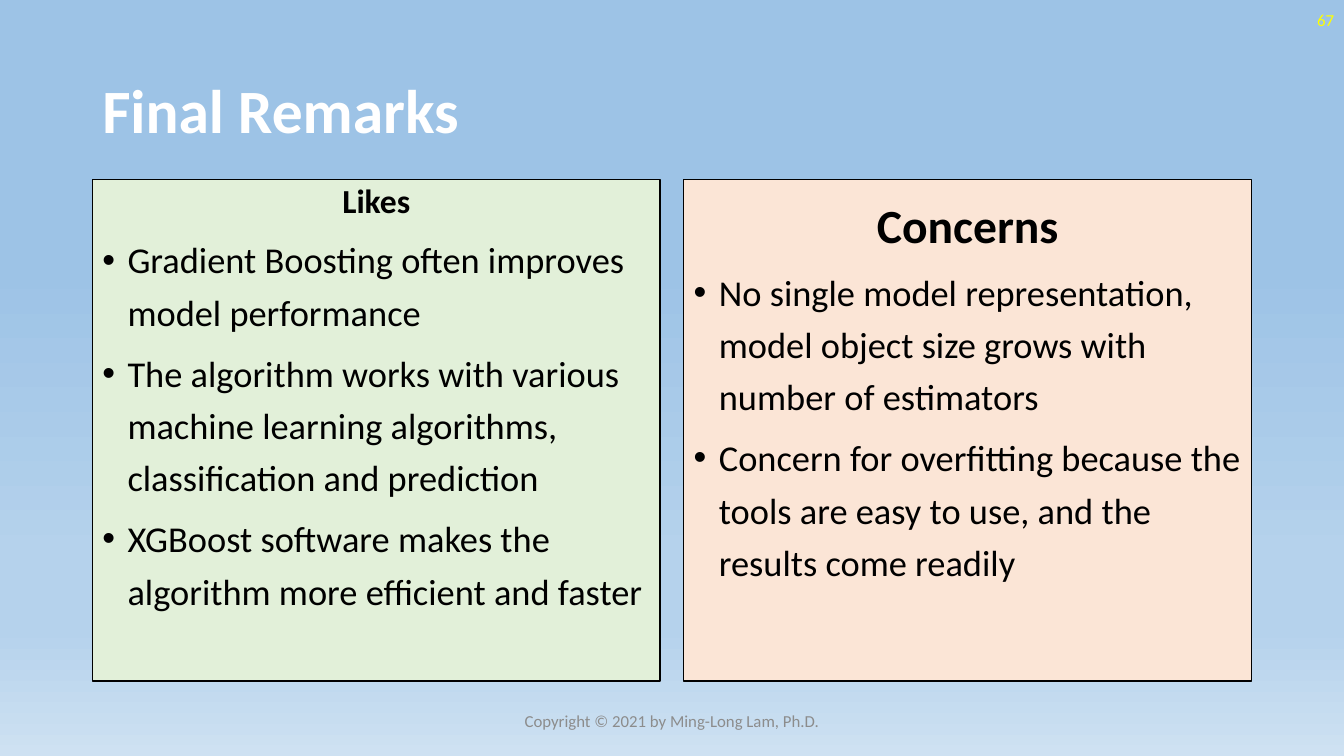
from lxml import etree
from pptx import Presentation
from pptx import util as u
from pptx.dml.color import RGBColor
from pptx.enum import shapes, text
from pptx.oxml.ns import qn

LEFT, MID, RIGHT = text.PP_ALIGN.LEFT, text.PP_ALIGN.CENTER, text.PP_ALIGN.RIGHT


def color(code):
    return RGBColor.from_string(code)


class Deck:
    font = "Calibri"
    ink = "000000"
    indent = 18

    def __init__(self, wide, high):
        self.prs = Presentation()
        self.prs.slide_width, self.prs.slide_height = u.Pt(wide), u.Pt(high)
        self.slide = self.prs.slides.add_slide(self.prs.slide_layouts[6])

    def backdrop(self, stops):
        self.slide.background.fill.gradient()
        stop_list = self.slide.element.find(".//" + qn("a:gsLst"))
        for old in list(stop_list):
            stop_list.remove(old)
        for spot, code in stops:
            stop = etree.SubElement(stop_list, qn("a:gs"), pos=str(spot * 1000))
            etree.SubElement(stop, qn("a:srgbClr"), val=code)
        # Clockwise from the top edge to the bottom
        self.slide.background.fill.gradient_angle = 270

    def style(self, para, size, code, bold=False, align=LEFT, lines=1.0, before=0):
        para.alignment = align
        para.line_spacing = lines
        para.space_before = u.Pt(before)
        for run in para.runs:
            run.font.name = self.font
            run.font.size = u.Pt(size)
            run.font.bold = bold
            run.font.color.rgb = color(code)

    def label(self, words, box, size, code, **look):
        frame = self.slide.shapes.add_textbox(*map(u.Pt, box)).text_frame
        frame.word_wrap = True
        frame.vertical_anchor = text.MSO_ANCHOR.MIDDLE
        frame.text = words
        self.style(frame.paragraphs[0], size, code, **look)

    def bullet(self, para):
        props = para._p.get_or_add_pPr()
        props.set("marL", str(u.Pt(self.indent)))
        props.set("indent", str(-u.Pt(self.indent)))
        etree.SubElement(props, qn("a:buFont"), typeface="Arial")
        etree.SubElement(props, qn("a:buChar"), char="•")

    def panel(self, box, fill, head, size, lines, points):
        shape = self.slide.shapes.add_shape(
            shapes.MSO_SHAPE.RECTANGLE, *map(u.Pt, box))
        shape.shadow.inherit = False
        shape.fill.solid()
        shape.fill.fore_color.rgb = color(fill)
        shape.line.color.rgb = color(self.ink)
        shape.line.width = u.Pt(1)
        frame = shape.text_frame
        frame.word_wrap = True
        frame.vertical_anchor = text.MSO_ANCHOR.TOP
        frame.text = head
        self.style(frame.paragraphs[0], size, self.ink, bold=True,
                   align=MID, lines=lines)
        for point in points:
            para = frame.add_paragraph()
            para.text = point
            self.bullet(para)
            self.style(para, 26, self.ink, lines=1.2, before=6)


def main():
    deck = Deck(960, 540)
    deck.backdrop([(35, "9DC3E6"), (74, "B5D2EC"), (83, "B5D2EC"), (100, "CEE1F2")])

    # Title
    deck.label("Final Remarks", (66, 28.75, 828, 104.4), 44, "FFFFFF",
               bold=True, lines=0.9)

    # Two panels side by side
    panels = [
        ("E2F0D9", "Likes", 24, 0.9, [
            "Gradient Boosting often improves model performance",
            "The algorithm works with various machine learning algorithms, "
            "classification and prediction",
            "XGBoost software makes the algorithm more efficient and faster"]),
        ("FBE5D6", "Concerns", 34, 1.2, [
            "No single model representation, model object size grows with "
            "number of estimators",
            "Concern for overfitting because the tools are easy to use, "
            "and the results come readily"]),
    ]
    wide, gap = 405.6, 16.8
    for i, parts in enumerate(panels):
        deck.panel((66 + i * (wide + gap), 128, wide, 358.5), *parts)

    # Page number and footer
    deck.label("67", (744, 0, 216, 28.75), 12, "FFFF00", align=RIGHT)
    deck.label("Copyright © 2021 by Ming-Long Lam, Ph.D.",
               (318, 500.5, 324, 28.75), 12, "8C8C8C", align=MID)

    deck.prs.save("out.pptx")


if __name__ == "__main__":
    main()
